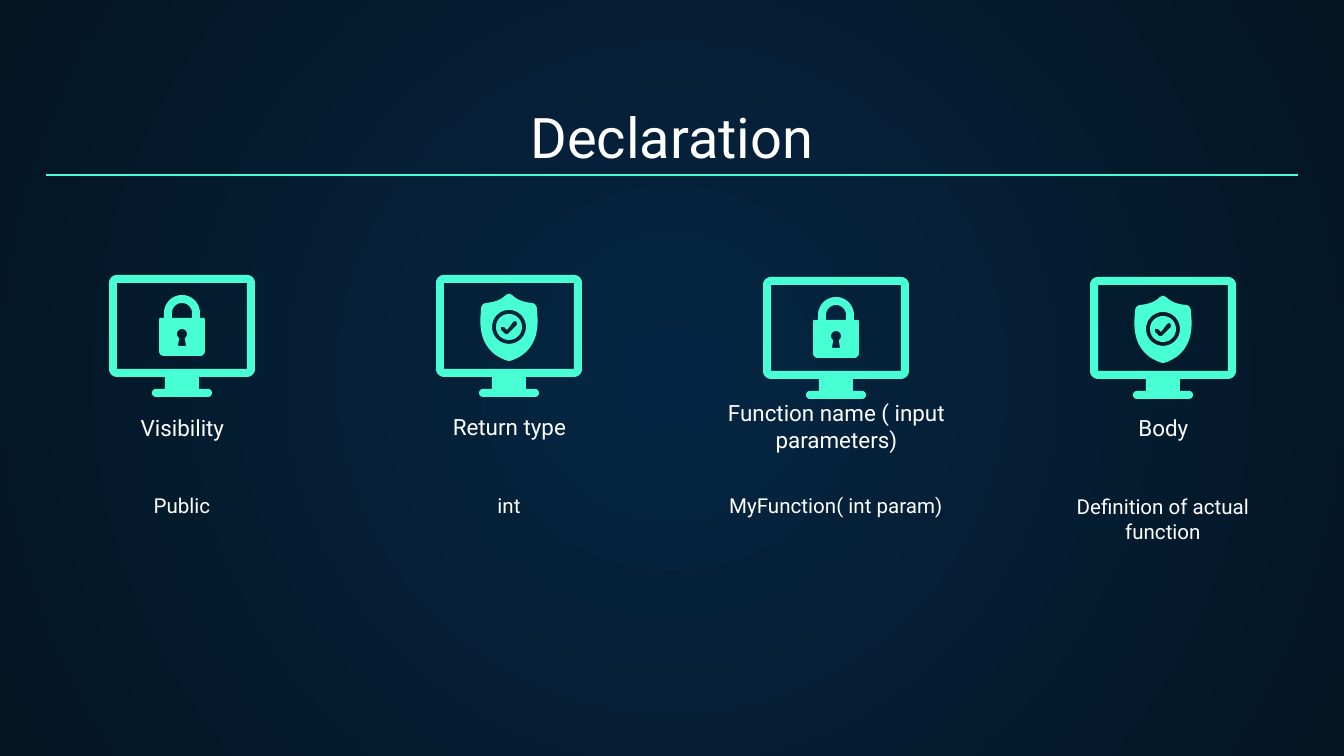
from dataclasses import dataclass
from math import cos, radians, sin

from lxml.etree import SubElement
from pptx import Presentation
from pptx.dml.color import RGBColor
from pptx.enum.shapes import MSO_CONNECTOR
from pptx.enum.text import MSO_ANCHOR, PP_ALIGN
from pptx.oxml.ns import qn
from pptx.util import Emu, Pt

EMU_PER_PX = 914400 / 134.4
NAVY = RGBColor(0x05, 0x26, 0x43)
MIDNIGHT = RGBColor(0x04, 0x15, 0x23)
MINT = RGBColor(0x48, 0xFF, 0xD5)
WHITE = RGBColor(0xFF, 0xFF, 0xFF)
FONT = "Roboto"

Point = tuple[float, float]
Contour = list[Point]


@dataclass(frozen=True)
class Part:
    label: str
    example: str
    icon: list[list[Contour]]
    icon_top: int
    label_top: int


def px(n: float) -> Emu:
    return Emu(round(n * EMU_PER_PX))


def arc(x: int, y: int, radius: int, start: int, end: int) -> Contour:
    steps = max(6, abs(end - start) // 10)
    angles = [radians(start + (end - start) * i / steps) for i in range(steps + 1)]
    return [(x + radius * cos(a), y + radius * sin(a)) for a in angles]


def bezier(a: Point, b: Point, c: Point, d: Point) -> Contour:
    points = []
    for i in range(11):
        t = i / 10
        weights = ((1 - t) ** 3, 3 * t * (1 - t) ** 2, 3 * t * t * (1 - t), t ** 3)
        points.append(tuple(sum(w * p[k] for w, p in zip(weights, (a, b, c, d)))
                            for k in (0, 1)))
    return points


MONITOR = [
    arc(-65, 8, 8, 180, 270) + arc(65, 8, 8, 270, 360) + arc(65, 94, 8, 0, 90)
    + [(17, 102), (17, 114)] + arc(26, 118, 4, -90, 90) + arc(-26, 118, 4, 90, 270)
    + [(-17, 114), (-17, 102)] + arc(-65, 94, 8, 90, 180),
    [(-65, 8), (-65, 94), (65, 94), (65, 8)],
]
PADLOCK = [
    arc(0, 38, 18, 180, 360) + [(18, 43), (22, 43), (23, 44)] + arc(18, 76, 5, 0, 90)
    + arc(-18, 76, 5, 90, 180) + [(-23, 44), (-22, 43), (-18, 43)],
    arc(0, 38, 10, 360, 180) + [(-10, 43), (10, 43)],
    arc(0, 59, 5, 415, 125) + [(-4, 71), (4, 71)],
]
SHIELD_SIDE = (
    arc(0, 23, 4, 270, 310)
    + bezier((3, 20), (8, 25), (14, 27), (22, 28))
    + bezier((22, 28), (26, 28), (28, 31), (28, 35))
    + bezier((28, 36), (29, 44), (29, 55), (26, 63))
    + bezier((26, 63), (22, 74), (14, 82), (1, 86))
)
SHIELD = [
    SHIELD_SIDE + [(-x, y) for x, y in reversed(SHIELD_SIDE)],
    arc(0, 52, 17, 360, 0),
]
CHECK = [
    arc(0, 52, 13, 0, 360),
    [(4, 47), (-2, 55), (-5, 52), (-8, 52), (-8, 55), (-4, 59), (-1, 59),
     (8, 50), (8, 47), (6, 46)],
]
LOCK_ICON = [MONITOR, PADLOCK]
SHIELD_ICON = [MONITOR, CHECK, SHIELD]

PARTS = [
    Part("Visibility", "Public", LOCK_ICON, 275, 426),
    Part("Return type", "int", SHIELD_ICON, 275, 425),
    Part("Function name ( input parameters)", "MyFunction( int param)", LOCK_ICON, 277, 438),
    Part("Body", "Definition of actual function", SHIELD_ICON, 277, 426),
]
FIRST_CENTER, COLUMN_STEP = 182, 327
LABEL_WIDTH, EXAMPLE_WIDTH = 305, 278


def add_text(s, text: str, left: int, top: int, width: int, height: int, *,
             size: int, anchor=MSO_ANCHOR.TOP) -> None:
    tf = s.shapes.add_textbox(px(left), px(top), px(width), px(height)).text_frame
    tf.word_wrap = True
    tf.vertical_anchor = anchor
    tf.margin_left = tf.margin_right = tf.margin_top = tf.margin_bottom = px(13)
    p = tf.paragraphs[0]
    p.alignment = PP_ALIGN.CENTER
    r = p.add_run()
    r.text = text
    r.font.name = FONT
    r.font.size = Pt(size)
    r.font.color.rgb = WHITE


def add_outline(shapes, contours: list[Contour], center: int, top: int) -> None:
    placed = [[(px(center + x), px(top + y)) for x, y in c] for c in contours]
    first, *holes = placed
    builder = shapes.build_freeform(*first[0], scale=1.0)
    builder.add_line_segments(first[1:], close=True)
    for hole in holes:
        builder.move_to(*hole[0])
        builder.add_line_segments(hole[1:], close=True)
    sp = builder.convert_to_shape()
    sp.shadow.inherit = False
    sp.fill.solid()
    sp.fill.fore_color.rgb = MINT
    sp.line.fill.background()


def add_part(s, part: Part, center: int) -> None:
    icon = s.shapes.add_group_shape()
    for contours in part.icon:
        add_outline(icon.shapes, contours, center, part.icon_top)
    add_text(s, part.label, center - LABEL_WIDTH // 2, part.label_top, LABEL_WIDTH, 28,
             size=12, anchor=MSO_ANCHOR.BOTTOM)
    add_text(s, part.example, center - EXAMPLE_WIDTH // 2, 481, EXAMPLE_WIDTH, 74, size=11)


def add_rule(s) -> None:
    line = s.shapes.add_connector(MSO_CONNECTOR.STRAIGHT, px(46), px(175), px(1298), px(175))
    line.line.color.rgb = MINT
    line.line.width = Pt(0.75)
    SubElement(line.element.spPr, qn("a:effectLst"))


def set_background(s) -> None:
    fill = s.background.fill
    fill.gradient()
    for stop, color, position in zip(fill.gradient_stops, (NAVY, MIDNIGHT), (0, 1)):
        stop.color.rgb = color
        stop.position = position
    grad = s.element.find(".//" + qn("a:gradFill"))
    grad.remove(grad.find(qn("a:lin")))
    circle = SubElement(grad, qn("a:path"), {"path": "circle"})
    SubElement(circle, qn("a:fillToRect"), dict.fromkeys("ltrb", "50000"))


def main() -> None:
    prs = Presentation()
    prs.slide_width, prs.slide_height = px(1344), px(756)
    s = prs.slides.add_slide(prs.slide_layouts[6])
    set_background(s)
    add_text(s, "Declaration", 46, 94, 1252, 89, size=30, anchor=MSO_ANCHOR.BOTTOM)
    add_rule(s)
    for i, part in enumerate(PARTS):
        add_part(s, part, FIRST_CENTER + i * COLUMN_STEP)
    prs.save("out.pptx")


if __name__ == "__main__":
    main()
